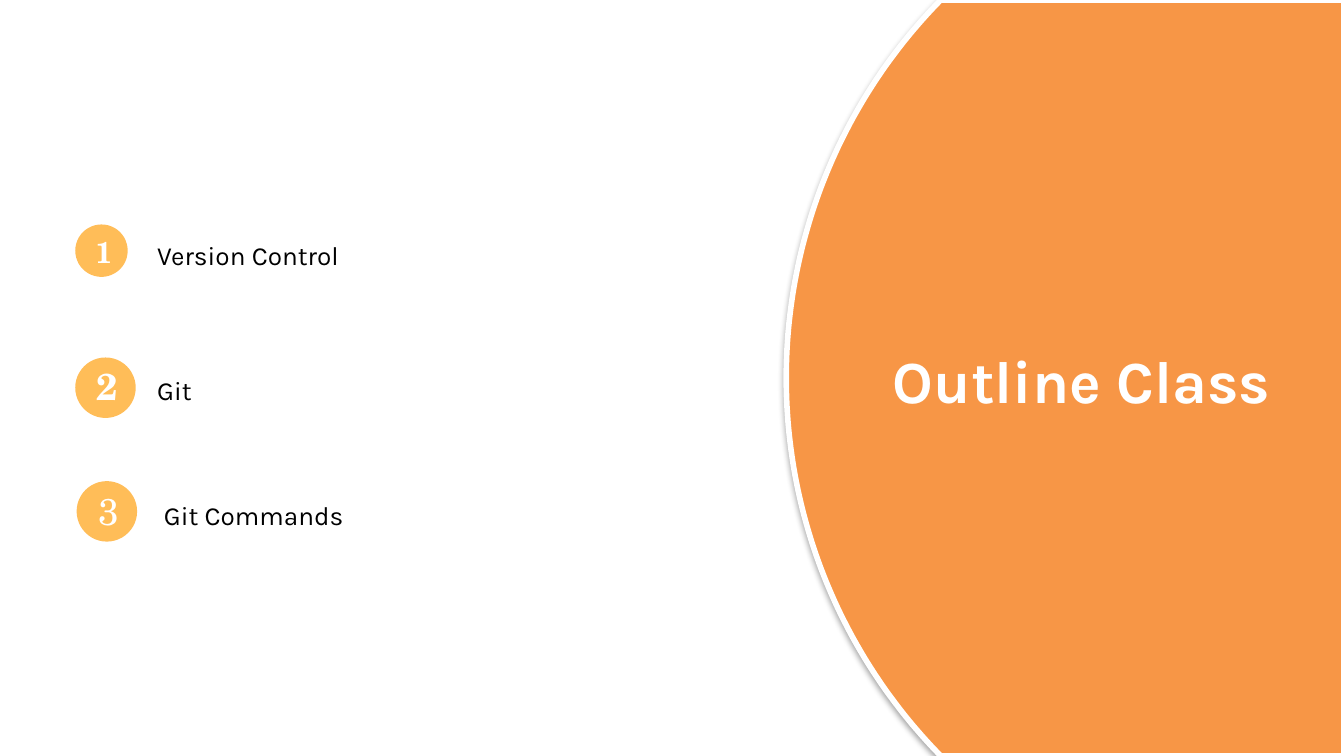
import math

from lxml import etree
from pptx import Presentation
from pptx.dml.color import RGBColor
from pptx.enum import shapes, text
from pptx.oxml.ns import qn
from pptx.util import Inches, Pt

WIDTH = 10
HEIGHT = WIDTH * 9 / 16
ORANGE, AMBER, WHITE, BLACK = "F79646", "FFBD58", "FFFFFF", "000000"
SANS, SERIF = "Karla", "TeX Gyre Schola"


def colour(value):
    return RGBColor.from_string(value)


def place(shape, left, top, width, height):
    shape.left, shape.top = Inches(left), Inches(top)
    shape.width, shape.height = Inches(width), Inches(height)


def write(shape, words, font, size, ink, bold=False, spacing=1.0,
          align=text.PP_ALIGN.LEFT, inset=0.01):
    frame = shape.text_frame
    frame.word_wrap = True
    frame.auto_size = text.MSO_AUTO_SIZE.NONE
    frame.vertical_anchor = text.MSO_ANCHOR.TOP
    frame.margin_left = frame.margin_right = frame.margin_bottom = 0
    frame.margin_top = Inches(inset)
    para = frame.paragraphs[0]
    para.text = words
    para.alignment = align
    para.line_spacing = spacing
    para.space_before = Pt(0)
    para.font.name, para.font.size = font, Pt(size)
    para.font.bold = bold
    para.font.color.rgb = colour(ink)


def add_text(page, box, words, *style, **options):
    label = page.shapes.add_textbox(*map(Inches, box))
    write(label, words, *style, **options)


def add_soft_shadow(shape):
    shape.shadow.inherit = False
    effects = shape.element.spPr.find(qn("a:effectLst"))
    shadow = etree.SubElement(effects, qn("a:outerShdw"), blurRad=str(Pt(3.1)),
                              dist=str(Pt(1.6)), dir="5400000", rotWithShape="0")
    tint = etree.SubElement(shadow, qn("a:srgbClr"), val=BLACK)
    etree.SubElement(tint, qn("a:alpha"), val="37000")


def add_title_panel(page, left, top, width, height, bulge=1.15, steps=120):
    """Panel whose left side is a circular arc, with the slide title on it."""
    half = height / 2
    radius = (bulge ** 2 + half ** 2) / (2 * bulge)
    sweep = math.asin(half / radius)
    angles = [sweep * (1 - 2 * step / steps) for step in range(steps + 1)]
    arc = [(Inches(left + radius * (1 - math.cos(angle))),
            Inches(top + half + radius * math.sin(angle))) for angle in angles]
    right = Inches(left + width)
    outline = page.shapes.build_freeform(right, Inches(top + height))
    outline.add_line_segments(arc + [(right, Inches(top))], close=True)
    panel = outline.convert_to_shape()
    panel.fill.solid()
    panel.fill.fore_color.rgb = colour(ORANGE)
    panel.line.color.rgb = colour(WHITE)
    panel.line.width = Pt(3)
    add_soft_shadow(panel)

    title = page.shapes.title
    place(title, left + 0.64, top + 2.43, 3.12, 0.66)
    write(title, "Outline Class", SANS, 32, WHITE, bold=True, spacing=1.19,
          align=text.PP_ALIGN.CENTER, inset=0.03)
    panel.element.addnext(title.element)


def add_topic(page, left, top, size, number, words, number_offset, label_offset,
              number_size=20, bold=True):
    """Numbered disc with its topic beside it; offsets start at the disc's corner."""
    disc = page.shapes.add_shape(shapes.MSO_SHAPE.OVAL,
                                 *map(Inches, (left, top, size, size)))
    disc.shadow.inherit = False
    disc.fill.solid()
    disc.fill.fore_color.rgb = colour(AMBER)
    disc.line.fill.background()
    across, down = number_offset
    add_text(page, (left + across, top + down, 0.17, 0.35), str(number),
             SERIF, number_size, WHITE, bold=bold)
    across, down = label_offset
    add_text(page, (left + across, top + down, 2.8, 0.28), words,
             SANS, 14, BLACK, spacing=1.15)


def main():
    deck = Presentation()
    deck.slide_width, deck.slide_height = Inches(WIDTH), Inches(HEIGHT)
    page = deck.slides.add_slide(deck.slide_layouts[5])
    page.background.fill.solid()
    page.background.fill.fore_color.rgb = colour(WHITE)

    add_title_panel(page, 5.85, 0, WIDTH - 5.85, HEIGHT)
    add_topic(page, 0.56, 1.67, 0.39, 1, "Version Control",
              (0.15, 0.06), (0.61, 0.07), number_size=16)
    add_topic(page, 0.56, 2.66, 0.45, 2, "Git", (0.16, 0.03), (0.61, 0.08))
    add_topic(page, 0.57, 3.58, 0.45, 3, "Git Commands",
              (0.16, 0.04), (0.65, 0.09), bold=False)
    deck.save("out.pptx")


if __name__ == "__main__":
    main()
